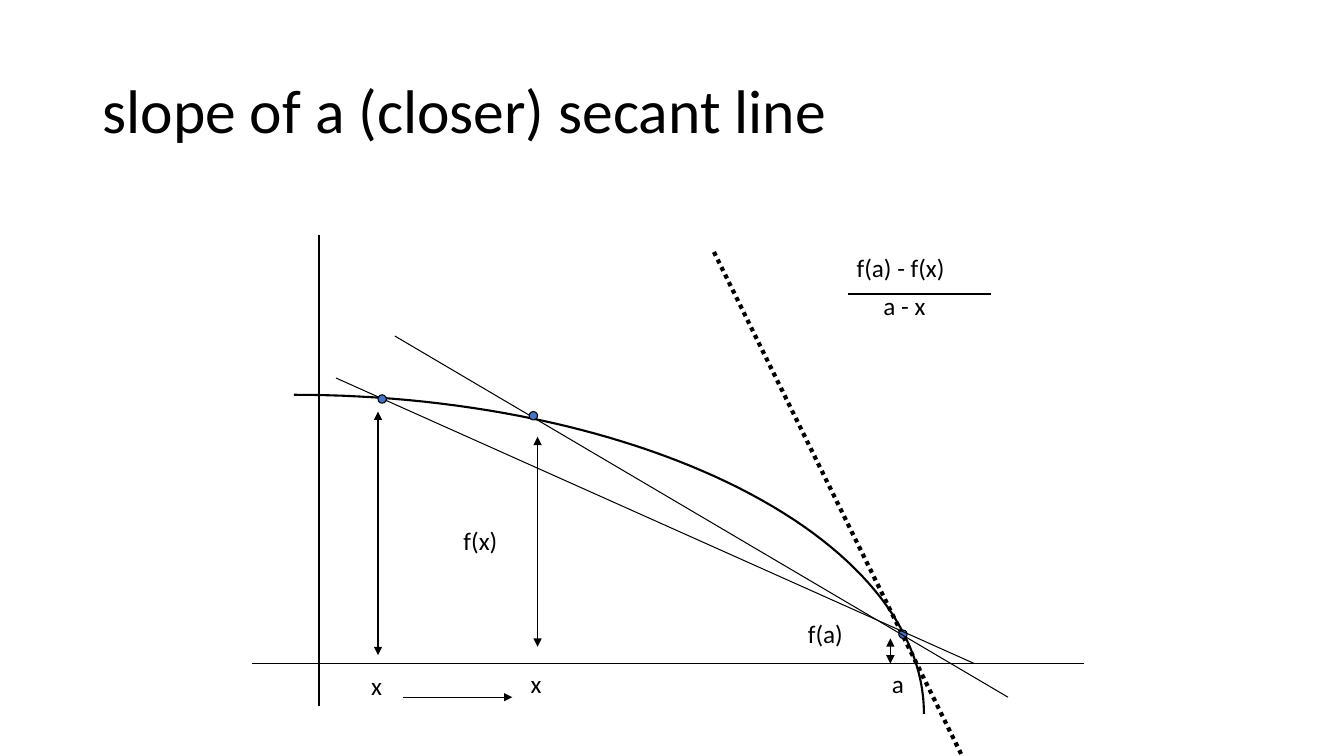
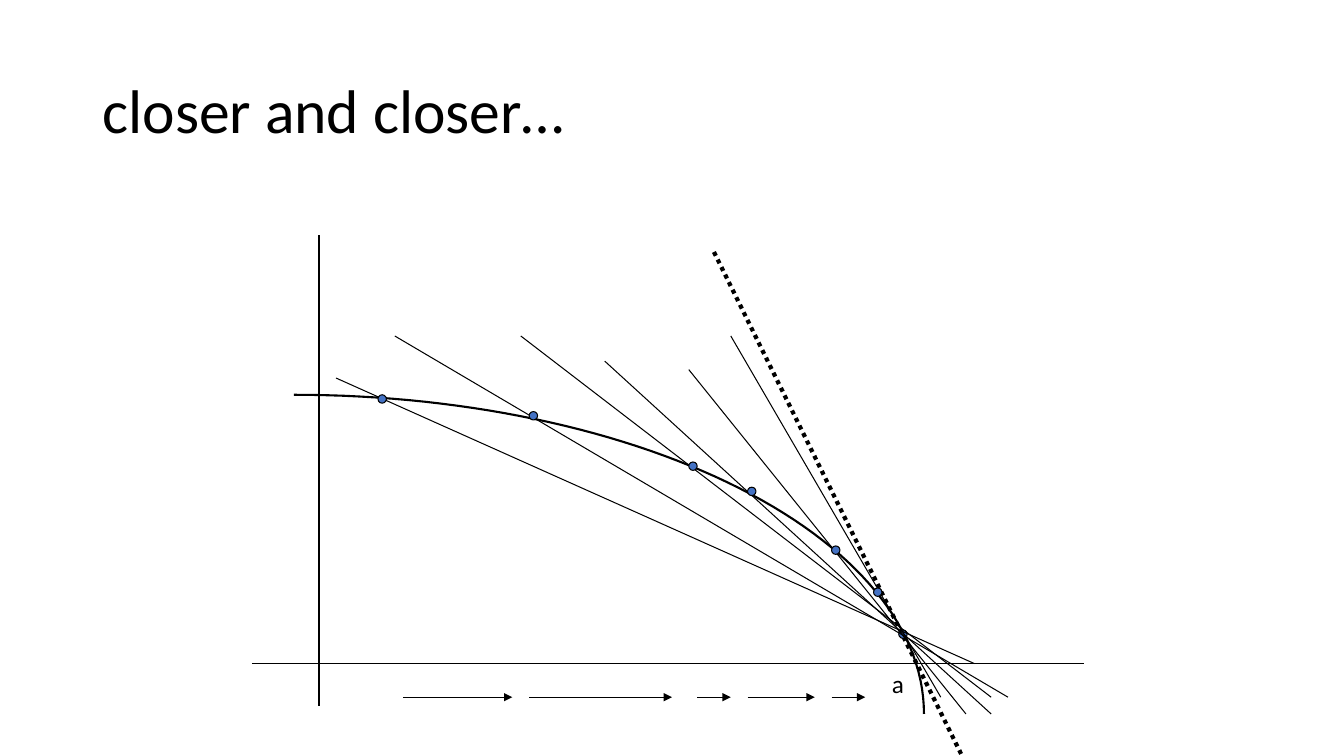
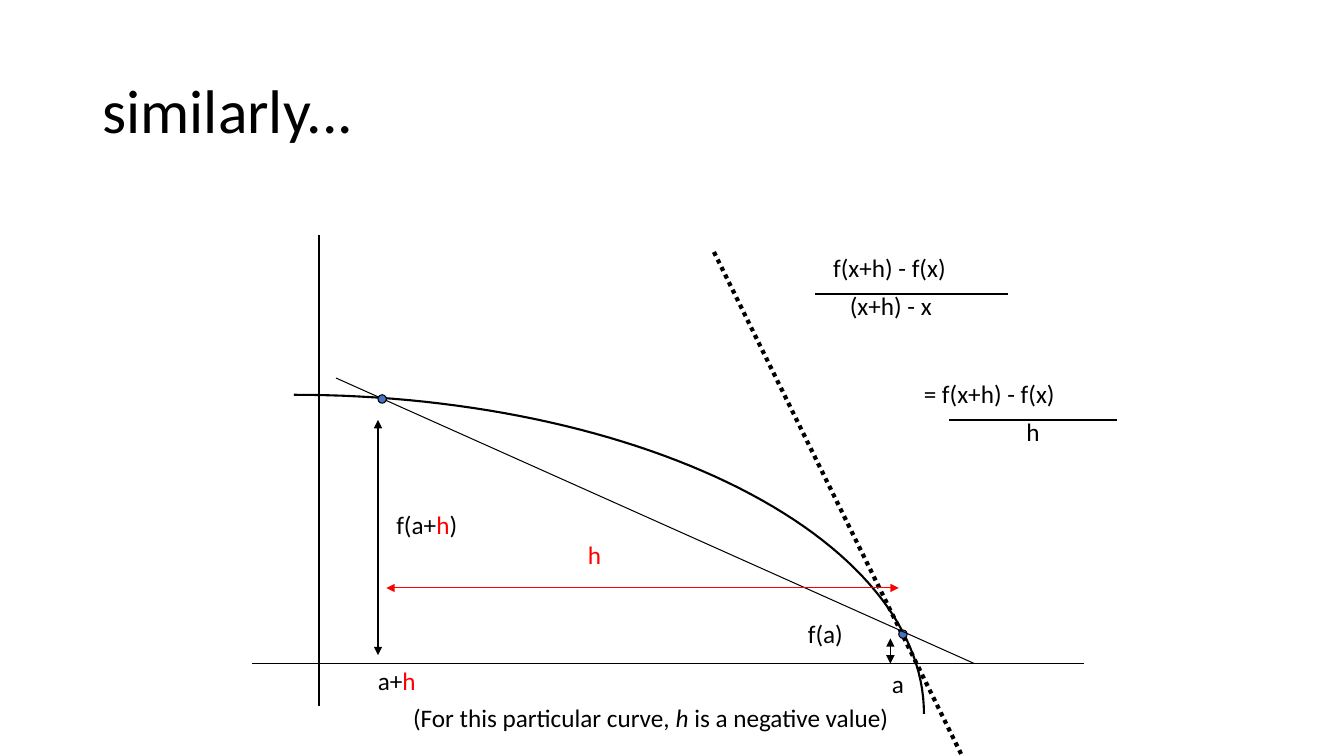
import math

import pptx
import pptx.util
from pptx.dml.color import RGBColor
from pptx.enum.dml import MSO_LINE
from pptx.enum.shapes import MSO_CONNECTOR, MSO_SHAPE
from pptx.enum.text import MSO_ANCHOR, MSO_AUTO_SIZE, PP_ALIGN
from pptx.oxml.ns import qn

FONT = "Calibri"
BLACK, RED, BLUE = "000000", "FF0000", "4472C4"
AXIS = 79     # height of the x axis, in grid steps
TRACK = 83    # height of the arrows below the axis
# Each secant: line ends, then the top left corner of its dot
SECANTS = [
    ((40, 45, 116, 79), (45, 47)),
    ((47, 40, 120, 83), (63, 49)),
    ((62, 40, 118, 83), (82, 55)),
    ((72, 43, 118, 85), (89, 58)),
    ((82, 44, 115, 85), (99, 65)),
    ((87, 40, 112, 83), (104, 70)),
]
STEPS = [(48, 61), (63, 80), (83, 87), (89, 97), (99, 103)]


def grid(steps):
    """Turn grid steps (twelve to the inch) into a length."""
    return pptx.util.Cm(steps * 2.54 / 12)


def color(code):
    return RGBColor.from_string(code)


def style_line(line, width, code=BLACK):
    line.width = pptx.util.Pt(width)
    line.color.rgb = color(code)


def add_line(slide, x1, y1, x2, y2, width=0.75, code=BLACK, dash=None, ends=()):
    """Draw a straight line; ends may hold headEnd and tailEnd arrowheads."""
    link = slide.shapes.add_connector(
        MSO_CONNECTOR.STRAIGHT, grid(x1), grid(y1), grid(x2), grid(y2))
    style_line(link.line, width, code)
    if dash:
        link.line.dash_style = dash
    outline = link.line._get_or_add_ln()
    for end in ends:
        tip = outline.makeelement(qn("a:" + end), {"type": "triangle"})
        outline.append(tip)
    props = link._element.spPr
    props.append(props.makeelement(qn("a:effectLst"), {}))


def add_arrow(slide, x1, y1, x2, y2, code=BLACK, both=True):
    ends = ("headEnd", "tailEnd") if both else ("tailEnd",)
    add_line(slide, x1, y1, x2, y2, code=code, ends=ends)


def add_dot(slide, left, top):
    dot = slide.shapes.add_shape(
        MSO_SHAPE.OVAL, grid(left), grid(top), grid(1), grid(1))
    dot.shadow.inherit = False
    dot.fill.solid()
    dot.fill.fore_color.rgb = color(BLUE)
    style_line(dot.line, 0.75)


def add_label(slide, left, top, width, *parts, code=BLACK):
    """Write a label; a part is plain text or a (text, colour, italic) tuple."""
    box = slide.shapes.add_textbox(grid(left), grid(top), grid(width), grid(4.8))
    frame = box.text_frame
    frame.word_wrap = True
    frame.auto_size = MSO_AUTO_SIZE.SHAPE_TO_FIT_TEXT
    line = frame.paragraphs[0]
    line.font.name = FONT
    line.font.size = pptx.util.Pt(18)
    for part in parts:
        text, tint, slant = (part, code, False) if isinstance(part, str) else part
        run = line.add_run()
        run.text = text
        run.font.color.rgb = color(tint)
        if slant:
            run.font.italic = True


def add_curve(slide):
    """Draw a quarter ellipse falling from the top left."""
    count = 60
    turns = [math.pi / 2 * i / count for i in range(count + 1)]
    spots = [(grid(35 + 75 * math.sin(t)), grid(85 - 38 * math.cos(t)))
             for t in turns]
    path = slide.shapes.build_freeform(*spots[0])
    path.add_line_segments(spots[1:], close=False)
    curve = path.convert_to_shape()
    curve.shadow.inherit = False
    curve.fill.background()
    style_line(curve.line, 1.5)


def add_secant(slide, ends, spot):
    add_line(slide, *ends)
    add_dot(slide, *spot)


def add_title(slide, text):
    title = slide.shapes.title
    title.left, title.top = grid(11), grid(4.8)
    title.width, title.height = grid(138), grid(17.4)
    frame = title.text_frame
    frame.text = text
    frame.word_wrap = True
    frame.auto_size = MSO_AUTO_SIZE.NONE
    frame.vertical_anchor = MSO_ANCHOR.MIDDLE
    line = frame.paragraphs[0]
    line.alignment = PP_ALIGN.LEFT
    line.line_spacing = 0.9
    line.font.name = FONT
    line.font.size = pptx.util.Pt(44)
    line.font.color.rgb = color(BLACK)


def add_plot(deck, title, count):
    """Add a slide with axes, curve, tangent at a and the first secants."""
    slide = deck.slides.add_slide(deck.slide_layouts[5])
    add_title(slide, title)
    add_line(slide, 38, 28, 38, 84, width=1)
    add_line(slide, 30, AXIS, 129, AXIS, width=1)
    add_curve(slide)
    add_line(slide, 85, 30, 117, 95, width=3, dash=MSO_LINE.ROUND_DOT)
    add_dot(slide, 107, 75)
    add_label(slide, 105, AXIS, 4, "a")
    for ends, spot in SECANTS[:count]:
        add_secant(slide, ends, spot)
    return slide


def add_steps(slide, steps):
    for start, stop in steps:
        add_arrow(slide, start, TRACK, stop, TRACK, both=False)


def add_rise(slide):
    """Mark the height f(a) of the curve at a."""
    add_arrow(slide, 106, 76, 106, AXIS)
    add_label(slide, 95, 73, 7, "f(a)")


def add_ratio(slide, top, over, under, bar):
    """Write a fraction; over and under are (left, width, text)."""
    add_label(slide, over[0], top, *over[1:])
    add_label(slide, under[0], top + 4.5, *under[1:])
    add_line(slide, bar[0], top + 5.5, bar[1], top + 5.5)


def closer_slide(deck):
    slide = add_plot(deck, "slope of a (closer) secant line", 2)
    add_label(slide, 62, AXIS, 4, "x")
    add_label(slide, 43, 79.2, 4, "x")
    add_label(slide, 54, 62, 8.4, "f(x)")
    add_arrow(slide, 45, 49, 45, 78)
    add_arrow(slide, 64, 52, 64, 77)
    add_rise(slide)
    add_ratio(slide, 29.5, (100.8, 13.2, "f(a) - f(x)"),
              (104, 9.5, "a - x"), (101, 118))
    add_steps(slide, STEPS[:1])


def limit_slide(deck):
    slide = add_plot(deck, "closer and closer…", len(SECANTS))
    add_steps(slide, STEPS)


def step_slide(deck):
    slide = add_plot(deck, "similarly...", 1)
    red = ("h", RED, False)
    add_label(slide, 43.8, 78.6, 7.2, "a+", red)
    add_label(slide, 46, 60, 10, "f(a+", red, ")")
    add_arrow(slide, 45, 50, 45, 78)
    add_rise(slide)
    add_arrow(slide, 46, 70, 107, 70, code=RED)
    add_label(slide, 68.8, 63.6, 4, "h", code=RED)
    add_ratio(slide, 29.5, (98, 24.8, "f(x+h) - f(x)"),
              (100, 29, "(x+h) - x"), (97, 120))
    add_ratio(slide, 44.5, (108.8, 18.5, "= f(x+h) - f(x)"),
              (121, 4.4, "h"), (113, 133))
    add_label(slide, 48, 83, 59.5, "(For this particular curve, ",
              ("h", BLACK, True), " is a negative value)")


def main():
    deck = pptx.Presentation()
    deck.slide_width, deck.slide_height = grid(160), grid(90)
    closer_slide(deck)
    limit_slide(deck)
    step_slide(deck)
    deck.save("out.pptx")


if __name__ == "__main__":
    main()
